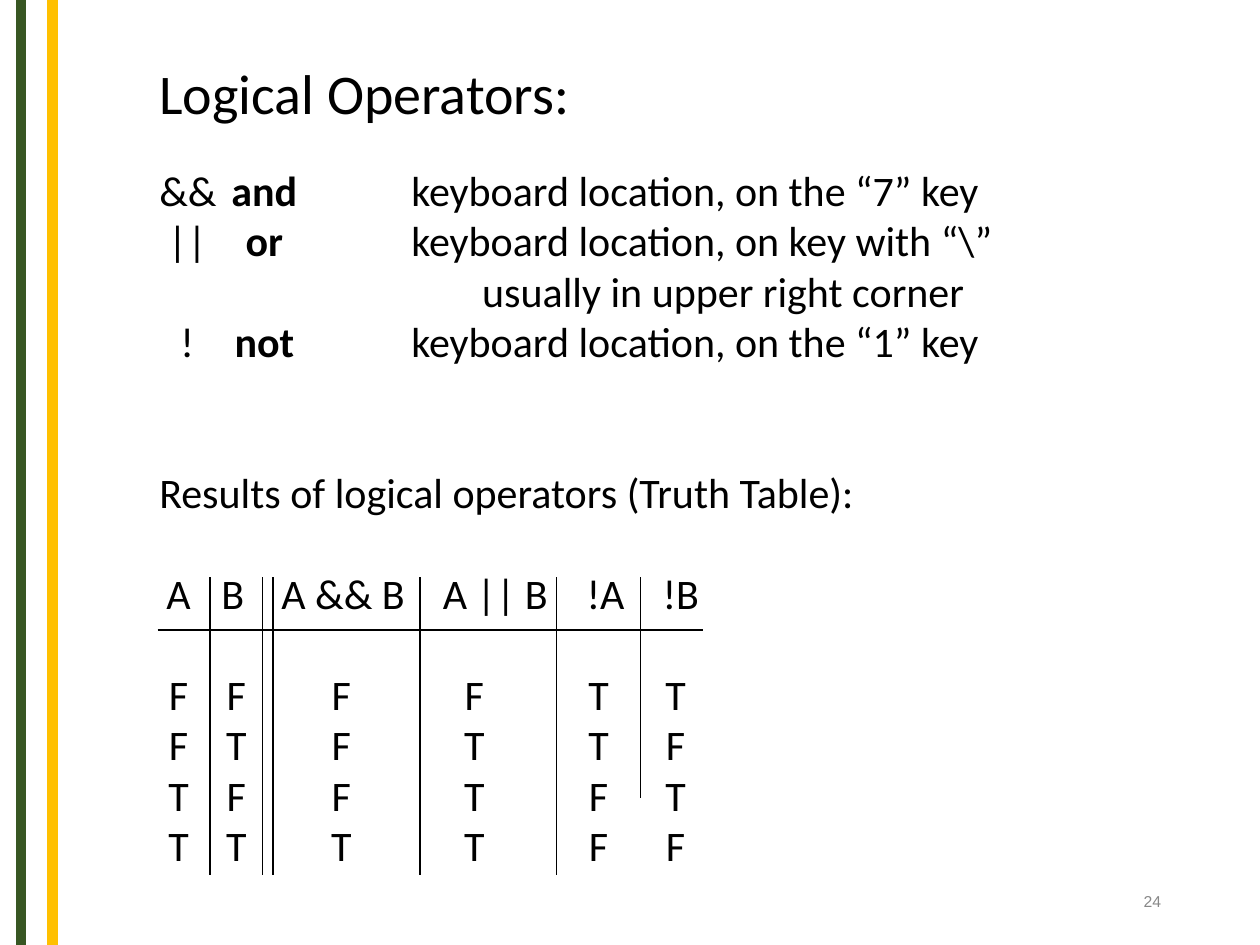
from typing import NamedTuple

from lxml.etree import SubElement
from pptx import Presentation
from pptx.dml.color import RGBColor
from pptx.enum.shapes import MSO_CONNECTOR
from pptx.enum.text import MSO_ANCHOR, PP_ALIGN
from pptx.oxml.ns import qn
from pptx.util import Pt

LINE_PITCH = 28.8
BLACK = "000000"


class Rule(NamedTuple):
    x1: float
    y1: float
    x2: float
    y2: float
    color: str = BLACK
    width: float = 0.75


class Tab(NamedTuple):
    position: float
    align: str = "ctr"


class Row(NamedTuple):
    cells: tuple
    tabs: tuple = ()
    before: float = 0
    bold_cell: int = -1
    size: float = 24


def rgb(color: str) -> RGBColor:
    return RGBColor.from_string(color)


def draw_rule(shapes, rule: Rule) -> None:
    connector = shapes.add_connector(
        MSO_CONNECTOR.STRAIGHT, Pt(rule.x1), Pt(rule.y1), Pt(rule.x2), Pt(rule.y2))
    connector.line.color.rgb = rgb(rule.color)
    connector.line.width = Pt(rule.width)
    SubElement(connector._element.spPr, qn("a:effectLst"))


def add_frame(shapes, left: float, top: float, width: float, height: float):
    frame = shapes.add_textbox(Pt(left), Pt(top), Pt(width), Pt(height)).text_frame
    frame.word_wrap = True
    return frame


def add_run(paragraph, text: str, color: str = BLACK, **formats) -> None:
    run = paragraph.add_run()
    run.text = text
    for name, value in formats.items():
        setattr(run.font, name, value)
    run.font.color.rgb = rgb(color)


def write_row(paragraph, row: Row) -> None:
    if row.tabs:
        tab_list = SubElement(paragraph._p.get_or_add_pPr(), qn("a:tabLst"))
        for tab in row.tabs:
            SubElement(tab_list, qn("a:tab"), pos=str(Pt(tab.position)), algn=tab.align)
    if row.before:
        paragraph.space_before = Pt(row.before)
    if row.size == 24:
        paragraph.line_spacing = Pt(LINE_PITCH)
    lead = "\t" if row.tabs else ""
    for index, cell in enumerate(row.cells):
        add_run(paragraph, lead + cell, name="Calibri", size=Pt(row.size),
                bold=index == row.bold_cell)


OPERATOR_TABS = (Tab(16), Tab(60), Tab(144, "l"))
HEADER_TABS = tuple(Tab(x) for x in (11, 42, 105, 192, 255, 298))
VALUE_TABS = tuple(Tab(x) for x in (11, 44, 104, 180, 251, 295))

OPERATORS = (
    Row(("&&", "and", "keyboard location, on the “7” key"), OPERATOR_TABS, 22, 1),
    Row(("||", "or", "keyboard location, on key with “\\”"), OPERATOR_TABS, 0, 1),
    Row(("usually in upper right corner",), (Tab(184.5, "l"),)),
    Row(("!", "not", "keyboard location, on the “1” key"), OPERATOR_TABS, 0, 1),
)
TRUTH_VALUES = ("FFFFTT", "FTFTTF", "TFFTFT", "TTTTFF")
ROWS = (
    Row(("Logical Operators:",), size=32),
    *OPERATORS,
    Row(("Results of logical operators (Truth Table):",), before=2 * LINE_PITCH),
    Row(("A", "B", "A && B", "A || B", "!A", "!B"), HEADER_TABS, LINE_PITCH),
    *(Row(tuple(values), VALUE_TABS, 0 if index else LINE_PITCH)
      for index, values in enumerate(TRUTH_VALUES)),
)

STRIPES = (Rule(12, 0, 12, 540, "385623", 6), Rule(30, 0, 30, 540, "FFC000", 6))
TABLE_TOP, TABLE_BOTTOM = 330, 500
TABLE_RULES = (
    Rule(90, 360, 402, 360),
    *(Rule(x, TABLE_TOP, x, TABLE_BOTTOM) for x in (120, 150, 156, 240, 318)),
    Rule(366, TABLE_TOP, 366, 456),
)


def main() -> None:
    presentation = Presentation()
    presentation.slide_width, presentation.slide_height = Pt(720), Pt(540)
    shapes = presentation.slides.add_slide(presentation.slide_layouts[6]).shapes

    # Side stripes
    for stripe in STRIPES:
        draw_rule(shapes, stripe)

    # Page number
    number_frame = add_frame(shapes, 508.5, 500.5, 162, 28.8)
    number_frame.vertical_anchor = MSO_ANCHOR.MIDDLE
    number = number_frame.paragraphs[0]
    number.alignment = PP_ALIGN.RIGHT
    add_run(number, "24", "888888", name="Arial", size=Pt(9))

    # Heading, operators and truth table text
    body = add_frame(shapes, 84, 30, 546, 499)
    for index, row in enumerate(ROWS):
        write_row(body.add_paragraph() if index else body.paragraphs[0], row)

    # Truth table rules
    for rule in TABLE_RULES:
        draw_rule(shapes, rule)

    presentation.save("out.pptx")


if __name__ == "__main__":
    main()
